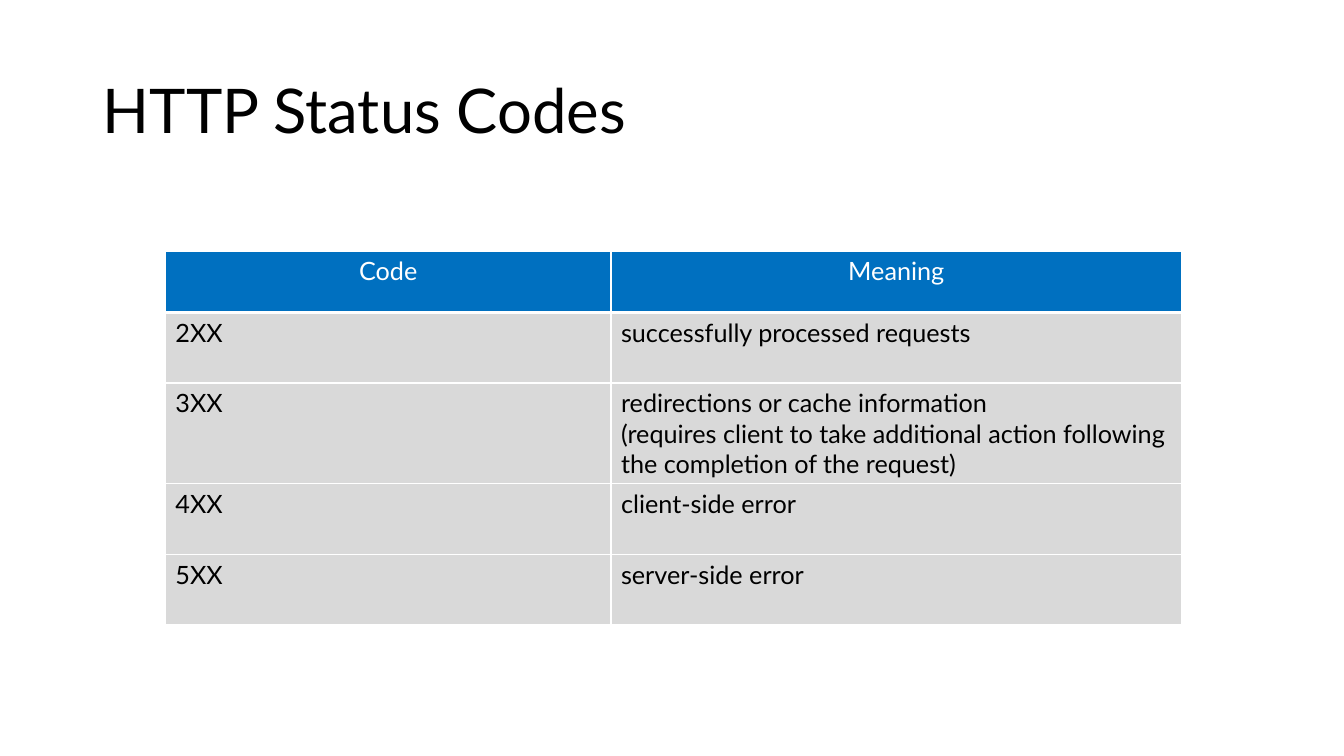
from dataclasses import dataclass

from lxml.etree import SubElement
from pptx import Presentation
from pptx.dml.color import RGBColor
from pptx.enum.text import MSO_ANCHOR, PP_ALIGN
from pptx.oxml.ns import qn
from pptx.util import Inches, Pt


@dataclass(frozen=True)
class Theme:
    font: str = "Lato"
    title_size: int = 44
    body_size: int = 18
    text: str = "000000"
    light: str = "FFFFFF"
    header: str = "0070C0"
    row: str = "D9D9D9"
    border: float = 1
    header_border: float = 3


class SlideBuilder:
    def __init__(self, prs, theme):
        self.theme = theme
        self.slide = prs.slides.add_slide(prs.slide_layouts[5])

    def set_font(self, p, size, color):
        p.font.name = self.theme.font
        p.font.size = Pt(size)
        p.font.bold = False
        p.font.color.rgb = RGBColor.from_string(color)

    def title(self, text, left, top, width, height):
        sp = self.slide.shapes.title
        sp.left, sp.top = Inches(left), Inches(top)
        sp.width, sp.height = Inches(width), Inches(height)
        tf = sp.text_frame
        tf.text = text
        tf.word_wrap = True
        tf.vertical_anchor = MSO_ANCHOR.MIDDLE
        p = tf.paragraphs[0]
        p.alignment = PP_ALIGN.LEFT
        p.line_spacing = 0.9
        self.set_font(p, self.theme.title_size, self.theme.text)

    def borders(self, cell, bottom):
        tc_pr = cell._tc.get_or_add_tcPr()
        widths = {"a:lnL": self.theme.border, "a:lnR": self.theme.border,
                  "a:lnT": self.theme.border, "a:lnB": bottom}
        for tag, width in widths.items():
            ln = SubElement(tc_pr, qn(tag), w=str(Pt(width)))
            fill = SubElement(ln, qn("a:solidFill"))
            SubElement(fill, qn("a:srgbClr"), val=self.theme.light)

    def cell(self, cell, text, is_header):
        theme = self.theme
        self.borders(cell, theme.header_border if is_header else theme.border)
        cell.fill.solid()
        cell.fill.fore_color.rgb = RGBColor.from_string(theme.header if is_header else theme.row)
        cell.text = text
        for p in cell.text_frame.paragraphs:
            p.alignment = PP_ALIGN.CENTER if is_header else PP_ALIGN.LEFT
            self.set_font(p, theme.body_size, theme.light if is_header else theme.text)

    def table(self, rows, left, top, widths, heights):
        frame = self.slide.shapes.add_table(
            len(rows), len(widths), Inches(left), Inches(top),
            Inches(sum(widths)), Inches(sum(heights)))
        table = frame.table
        table.horz_banding = False
        for column, width in zip(table.columns, widths):
            column.width = Inches(width)
        for i, (row, height) in enumerate(zip(rows, heights)):
            table.rows[i].height = Inches(height)
            for j, text in enumerate(row):
                self.cell(table.cell(i, j), text, i == 0)


STATUS_CODES = [
    ("Code", "Meaning"),
    ("2XX", "successfully processed requests"),
    ("3XX", "redirections or cache information\n"
            "(requires client to take additional action following the completion of the request)"),
    ("4XX", "client-side error"),
    ("5XX", "server-side error"),
]


def main():
    prs = Presentation()
    prs.slide_width, prs.slide_height = Inches(13.33), Inches(7.5)
    s = SlideBuilder(prs, Theme())
    s.title("HTTP Status Codes", 0.92, 0.4, 11.5, 1.45)
    s.table(STATUS_CODES, 1.64, 2.49, [4.42, 5.66], [0.61, 0.7, 1, 0.7, 0.7])
    prs.save("out.pptx")


if __name__ == "__main__":
    main()
